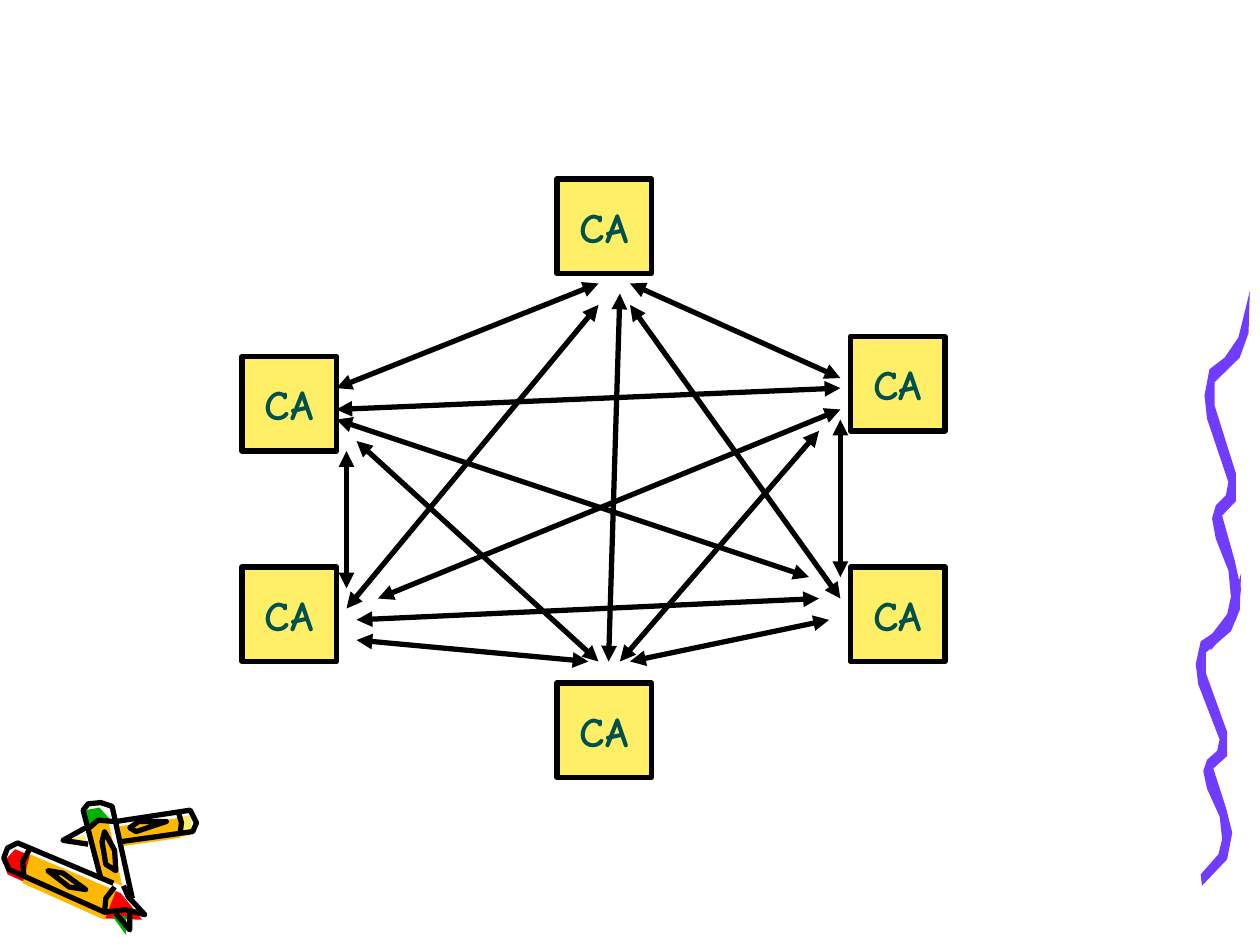
from lxml import etree
from pptx import Presentation
from pptx.dml.color import RGBColor
from pptx.enum.shapes import MSO_CONNECTOR, MSO_SHAPE
from pptx.enum.text import MSO_ANCHOR, PP_ALIGN
from pptx.oxml.ns import qn
from pptx.util import Emu, Pt

PX = 9144  # 100 px to the inch
RECTANGLE = MSO_SHAPE.RECTANGLE
STRAIGHT = MSO_CONNECTOR.STRAIGHT
MIDDLE = MSO_ANCHOR.MIDDLE
CENTER = PP_ALIGN.CENTER

BLACK, YELLOW, ORANGE = "000000", "FFEF66", "FFB800"
RED, GREEN, PURPLE, TEAL = "FF0000", "00B200", "703DFF", "00504E"

# Coloured crayon areas, relative to the crayons' region
CRAYON_AREAS = [
    (YELLOW, [(143, 48), (151, 47), (152, 63), (143, 65)]),
    (RED, [(12, 74), (96, 109), (113, 130), (83, 129), (6, 94), (3, 84)]),
    (ORANGE, [(18, 101), (83, 130), (92, 107), (24, 78)]),
    (GREEN, [(68, 43), (79, 41), (87, 50), (70, 57)]),
    (GREEN, [(100, 127), (100, 142), (89, 127)]),
    (ORANGE, [(70, 56), (86, 51), (97, 103), (81, 97)]),
    (ORANGE, [(143, 49), (93, 56), (95, 72), (143, 65)]),
    (YELLOW, [(67, 63), (48, 68), (70, 72)]),
]
# Black crayon contours, open
CRAYON_EDGES = [
    [(90, 101), (14, 69), (6, 73), (3, 81), (7, 90), (83, 124), (100, 122), (115, 126),
     (102, 112), (98, 103)],
    [(83, 124), (84, 113), (91, 104)],
    [(24, 73), (18, 84), (19, 95)],
    [(80, 97), (66, 43), (70, 38), (80, 37), (89, 40), (105, 113)],
    [(71, 57), (78, 51), (90, 52)],
    [(92, 52), (151, 43), (156, 53), (153, 60), (96, 68)],
    [(142, 46), (144, 53), (143, 61)],
    [(68, 57), (50, 67), (70, 70)],
    [(92, 125), (103, 138), (103, 124)],
]
# Black crayon labels, closed loops
CRAYON_LABELS = [
    [(38, 91), (50, 93), (68, 106), (55, 104)],
    [(83, 60), (91, 75), (92, 91), (84, 86), (81, 68)],
    [(103, 57), (110, 52), (132, 52), (108, 60)],
]
# One wavy strand, relative to its own top left corner
STRAND = [
    (4, 239), (18, 223), (21, 211), (19, 193), (9, 171), (6, 157), (9, 148), (17, 141),
    (19, 132), (2, 88), (0, 72), (4, 54), (16, 46), (27, 32), (36, 0), (35, 29), (28, 46),
    (8, 63), (8, 79), (25, 126), (25, 145), (14, 155), (24, 186), (29, 206), (25, 227),
    (5, 248),
]

# Network parts, relative to the diagram's top left corner
NODE_SIZE = 75
NODES = [(483, 125), (483, 308), (250, 0), (0, 141), (250, 400), (0, 308)]
LINKS = [
    (75, 166, 283, 83), (308, 83, 475, 158), (83, 325, 83, 216), (475, 316, 475, 191),
    (83, 341, 283, 100), (291, 383, 300, 91), (475, 333, 308, 100), (91, 366, 275, 383),
    (308, 383, 466, 350), (91, 350, 458, 333), (75, 183, 475, 166), (108, 333, 475, 183),
    (75, 191, 450, 316), (300, 383, 458, 200), (283, 383, 91, 208),
]


def px(value):
    return Emu(value * PX)


def color(hex_code):
    return RGBColor.from_string(hex_code)


def add_outline(page, left, top, points, fill=None, edge=None, closed=True, stretch=1):
    """Draw a freeform, filled or stroked, stretched vertically on request."""
    builder = page.shapes.build_freeform(*points[0], scale=(PX, PX * stretch))
    # The first point is scaled by the builder like all the others
    builder.add_line_segments(points[1:], close=closed)
    shape = builder.convert_to_shape(px(left), px(top))
    shape.shadow.inherit = False
    if fill:
        shape.fill.solid()
        shape.fill.fore_color.rgb = color(fill)
    else:
        shape.fill.background()
    if edge:
        shape.line.color.rgb = color(edge)
        shape.line.width = Pt(3)
    else:
        shape.line.fill.background()


def add_crayons(page, left, top):
    for fill, points in CRAYON_AREAS:
        add_outline(page, left, top, points, fill=fill)
    for points in CRAYON_EDGES:
        add_outline(page, left, top, points, edge=BLACK, closed=False)
    for points in CRAYON_LABELS:
        add_outline(page, left, top, points, edge=BLACK)


def add_ribbon(page, left, top):
    """Two strands of one shape, the upper one longer."""
    add_outline(page, left, top + 224, STRAND, fill=PURPLE)
    add_outline(page, left + 7, top, STRAND, fill=PURPLE, stretch=1.15)


def add_node(page, left, top):
    node = page.shapes.add_shape(RECTANGLE, px(left), px(top), px(NODE_SIZE), px(NODE_SIZE))
    node.shadow.inherit = False
    node.fill.solid()
    node.fill.fore_color.rgb = color(YELLOW)
    node.line.color.rgb = color(BLACK)
    node.line.width = Pt(3)
    frame = node.text_frame
    frame.word_wrap = False
    frame.vertical_anchor = MIDDLE
    frame.margin_left = frame.margin_top = frame.margin_right = frame.margin_bottom = 0
    para = frame.paragraphs[0]
    para.text = "CA"
    para.alignment = CENTER
    para.font.name = "Comic Neue"
    para.font.size = Pt(24)
    para.font.bold = True
    para.font.color.rgb = color(TEAL)


def add_link(page, start_x, start_y, end_x, end_y):
    link = page.shapes.add_connector(STRAIGHT, px(start_x), px(start_y), px(end_x), px(end_y))
    link.line.color.rgb = color(BLACK)
    link.line.width = Pt(3)
    # Arrowheads at both ends, no shadow
    outline = link._element.spPr.find(qn("a:ln"))
    for end in ("a:headEnd", "a:tailEnd"):
        etree.SubElement(outline, qn(end), type="triangle")
    etree.SubElement(link._element.spPr, qn("a:effectLst"))


def add_network(page, left, top):
    """Six authorities, each linked to every other."""
    for x, y in NODES:
        add_node(page, left + x, top + y)
    for start_x, start_y, end_x, end_y in LINKS:
        add_link(page, left + start_x, top + start_y, left + end_x, top + end_y)


def main():
    deck = Presentation()
    deck.slide_width, deck.slide_height = px(1000), px(750)
    page = deck.slides.add_slide(deck.slide_layouts[6])
    add_crayons(page, 0, 600)
    add_ribbon(page, 949, 231)
    add_network(page, 192, 142)
    deck.save("out.pptx")


if __name__ == "__main__":
    main()
